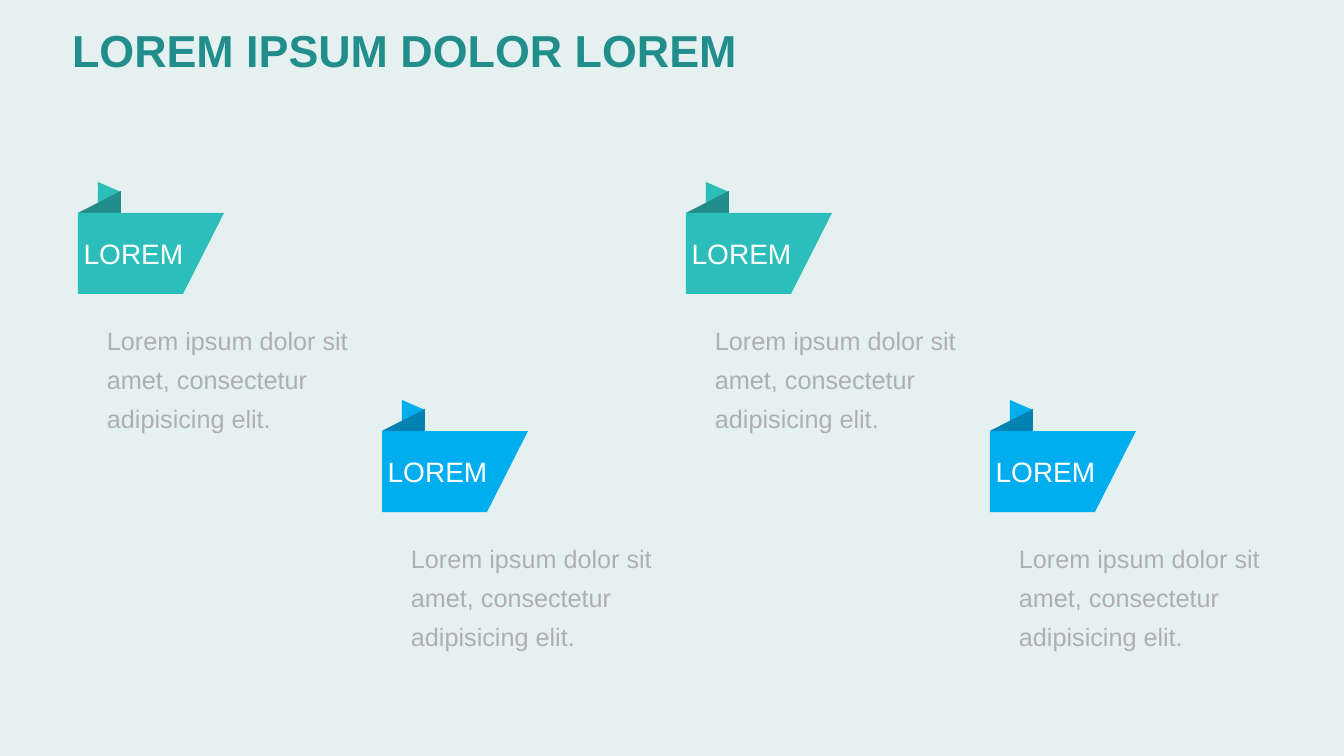
from pptx import Presentation
from pptx.dml.color import RGBColor
from pptx.enum.shapes import MSO_SHAPE
from pptx.enum.text import MSO_ANCHOR, PP_ALIGN
from pptx.util import Emu, Pt

RIGHT_TRIANGLE = MSO_SHAPE.RIGHT_TRIANGLE
MIDDLE = MSO_ANCHOR.MIDDLE
LEFT, CENTER = PP_ALIGN.LEFT, PP_ALIGN.CENTER

EMU_PER_PX = 914400 / 100.8
FONT = "Arial"
COLORS = {
    "background": "E5F1F1",
    "teal": "2CBEBB",
    "dark teal": "218E8C",
    "blue": "00AEEF",
    "dark blue": "0083B3",
    "body": "AFAFAF",
    "label": "FFFFFF",
}
FIRST_LEFT, FIRST_TOP = 78, 213
COLUMN_STEP, ROW_STEP = 304, 218
BODY = "Lorem ipsum dolor sit amet, consectetur adipisicing elit."
LABELS = ["LOREM"] * 4


def px(length):
    return Emu(round(length * EMU_PER_PX))


def rgb(color):
    return RGBColor.from_string(COLORS[color])


def paint(shape, color):
    shape.shadow.inherit = False
    shape.fill.solid()
    shape.fill.fore_color.rgb = rgb(color)
    shape.line.fill.background()


def write(shape, text, size, color, align=LEFT, spacing=1.0, bold=False):
    shape.text_frame.word_wrap = True
    paragraph = shape.text_frame.paragraphs[0]
    paragraph.text = text
    paragraph.alignment = align
    paragraph.line_spacing = spacing
    paragraph.font.name = FONT
    paragraph.font.size = Pt(size)
    paragraph.font.bold = bold
    paragraph.font.color.rgb = rgb(color)


def set_insets(frame, right=0):
    frame.margin_left = frame.margin_top = frame.margin_bottom = 0
    frame.margin_right = px(right)


def add_polygon(shapes, points, color):
    start, *rest = [(px(x), px(y)) for x, y in points]
    builder = shapes.build_freeform(*start)
    builder.add_line_segments(rest, close=True)
    polygon = builder.convert_to_shape()
    paint(polygon, color)
    return polygon


def add_title(slide, text):
    title = slide.shapes.title
    title.left, title.top = px(62), px(18)
    title.width, title.height = px(1206), px(70)
    title.text_frame.vertical_anchor = MIDDLE
    write(title, text, 32, "dark teal", spacing=0.9, bold=True)


def add_ribbon(slide, left, top, label, color):
    shapes = slide.shapes.add_group_shape().shapes
    add_polygon(shapes, [(left + 20, top - 31), (left + 43, top - 21),
                         (left + 20, top - 9)], color)

    body = shapes.add_textbox(px(left + 29), px(top + 103), px(247), px(119))
    set_insets(body.text_frame)
    write(body, BODY, 18, "body", spacing=1.3)

    fold = shapes.add_shape(RIGHT_TRIANGLE, px(left), px(top - 22), px(43), px(22))
    fold._element.spPr.xfrm.set("flipH", "1")
    paint(fold, "dark " + color)

    banner = add_polygon(shapes, [(left, top), (left + 146, top),
                                  (left + 105, top + 81), (left, top + 81)], color)
    set_insets(banner.text_frame, right=35)
    banner.text_frame.vertical_anchor = MIDDLE
    write(banner, label, 20, "label", align=CENTER)


def main():
    presentation = Presentation()
    presentation.slide_width, presentation.slide_height = px(1344), px(756)
    slide = presentation.slides.add_slide(presentation.slide_layouts[5])
    slide.background.fill.solid()
    slide.background.fill.fore_color.rgb = rgb("background")

    add_title(slide, "LOREM IPSUM DOLOR LOREM")
    for column, label in enumerate(LABELS):
        row = column % 2
        add_ribbon(slide, FIRST_LEFT + column * COLUMN_STEP,
                   FIRST_TOP + row * ROW_STEP, label, ("teal", "blue")[row])

    presentation.save("out.pptx")


if __name__ == "__main__":
    main()
